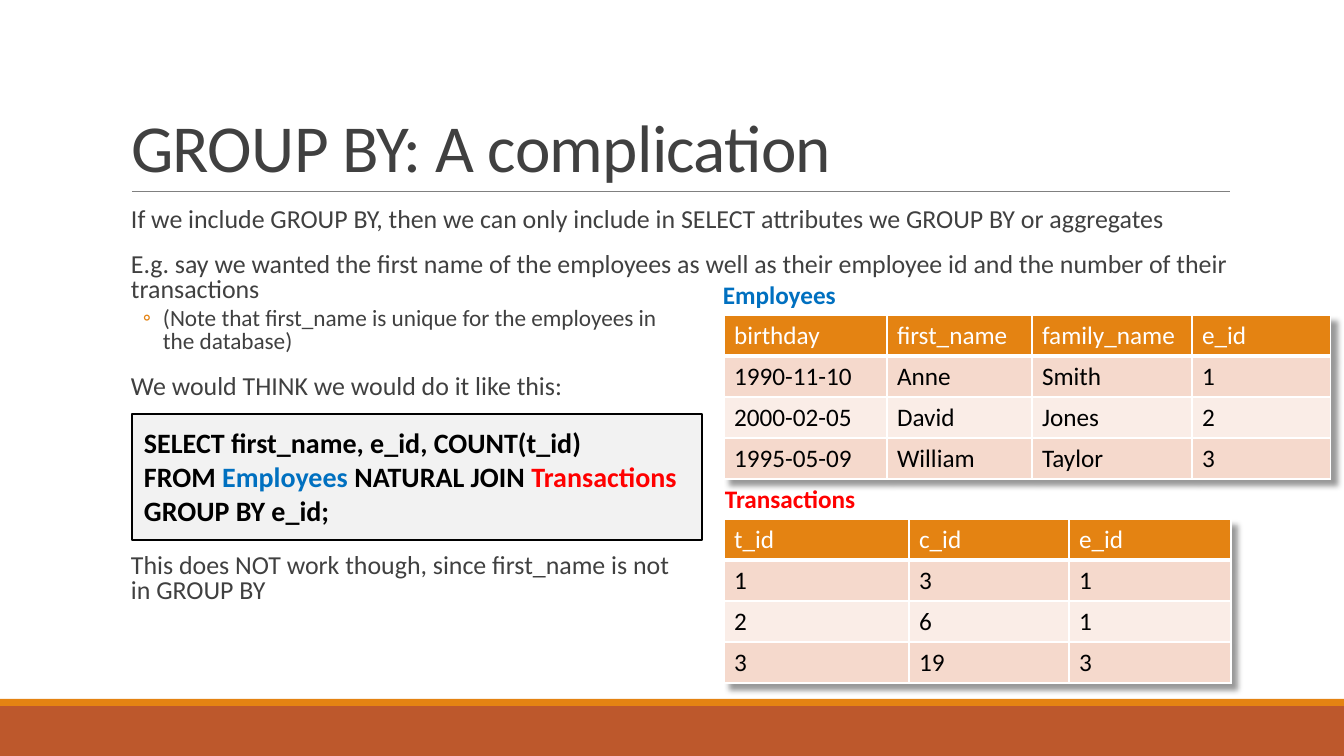
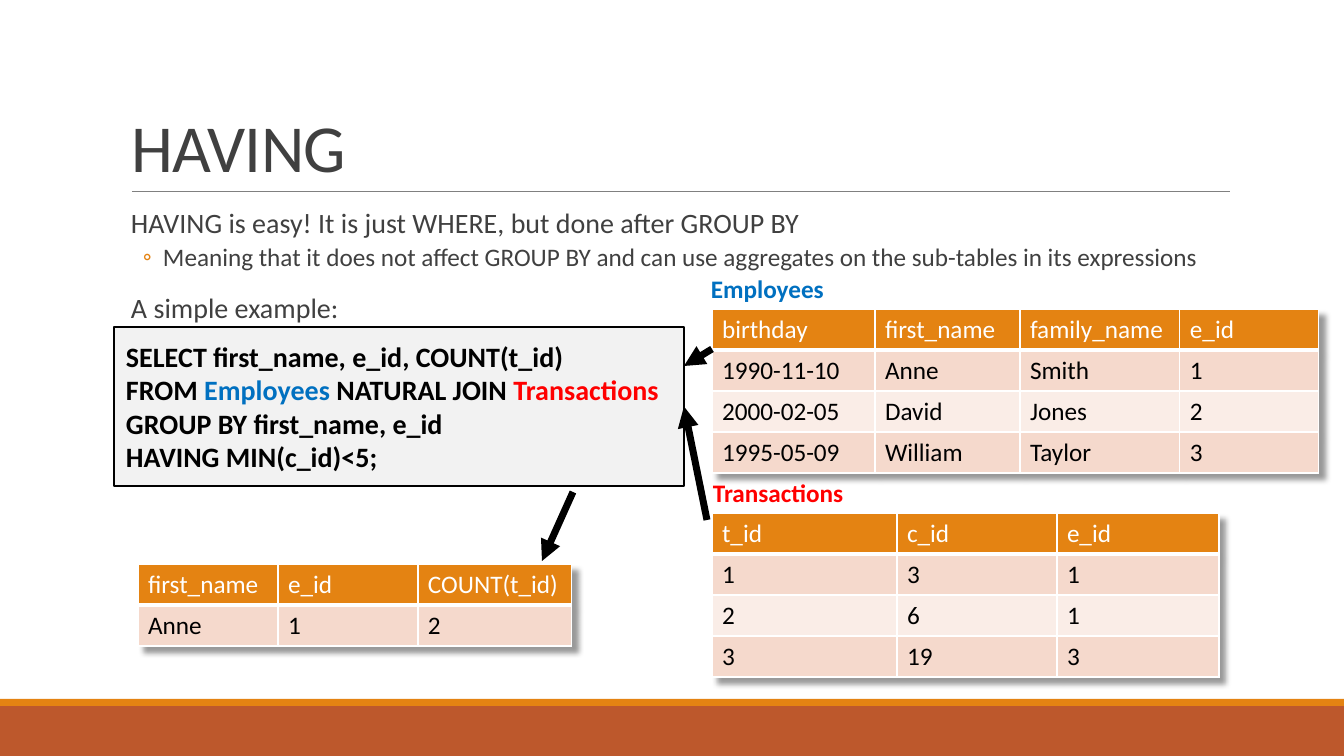
from dataclasses import dataclass

from lxml.etree import SubElement
from pptx import Presentation
from pptx.dml.color import RGBColor
from pptx.enum.shapes import MSO_CONNECTOR as Conn, MSO_SHAPE as Shape
from pptx.enum.text import MSO_ANCHOR as Anchor, MSO_AUTO_SIZE as AutoSize, PP_ALIGN as Align
from pptx.oxml import parse_xml
from pptx.oxml.ns import nsdecls, qn
from pptx.util import Emu, Pt

SLIDE_W, SLIDE_H = 1344, 756
EMU_PER_PX = 12192000 / SLIDE_W


@dataclass(frozen=True)
class Theme:
    font: str = "Calibri"
    rust: RGBColor = RGBColor(0xBD, 0x58, 0x2C)
    orange: RGBColor = RGBColor(0xE4, 0x83, 0x12)
    rule: RGBColor = RGBColor(0x80, 0x80, 0x80)
    text: RGBColor = RGBColor(0x40, 0x40, 0x40)
    black: RGBColor = RGBColor(0, 0, 0)
    white: RGBColor = RGBColor(0xFF, 0xFF, 0xFF)
    blue: RGBColor = RGBColor(0, 0x70, 0xC0)
    red: RGBColor = RGBColor(0xFF, 0, 0)
    code_fill: RGBColor = RGBColor(0xF2, 0xF2, 0xF2)
    row_dark: RGBColor = RGBColor(0xF5, 0xD9, 0xCC)
    row_light: RGBColor = RGBColor(0xFA, 0xED, 0xE7)
    title_pt: float = 48
    code_pt: float = 20
    table_pt: float = 18


THEME = Theme()


@dataclass(frozen=True)
class Span:
    text: str
    color: RGBColor = THEME.black


@dataclass(frozen=True)
class Item:
    """A body paragraph; line breaks in the text are kept."""
    text: str
    level: int = 0
    before: float = 12


@dataclass(frozen=True)
class BodyStyle:
    sizes: tuple[float, float]
    line_spacing: float


@dataclass(frozen=True)
class Grid:
    widths: tuple[int, ...]
    rows: tuple[tuple[str, ...], ...]


@dataclass(frozen=True)
class Relation:
    name: str
    color: RGBColor
    label_dx: int
    label_w: int
    grid: Grid


@dataclass(frozen=True)
class Arrow:
    start: tuple[int, int]
    end: tuple[int, int]


ROW_H = 41
RELATION_STEP = 204
LABEL_H = 40

RELATIONS = (
    Relation("Employees", THEME.blue, -11, 134, Grid((163, 145, 160, 139), (
        ("birthday", "first_name", "family_name", "e_id"),
        ("1990-11-10", "Anne", "Smith", "1"),
        ("2000-02-05", "David", "Jones", "2"),
        ("1995-05-09", "William", "Taylor", "3"),
    ))),
    Relation("Transactions", THEME.red, -9, 152, Grid((185, 160, 162), (
        ("t_id", "c_id", "e_id"),
        ("1", "3", "1"),
        ("2", "6", "1"),
        ("3", "19", "3"),
    ))),
)

RESULT = Grid((140, 140, 154), (("first_name", "e_id", "COUNT(t_id)"), ("Anne", "1", "2")))

QUERY_HEAD = (
    (Span("SELECT first_name, e_id, COUNT(t_id)"),),
    (Span("FROM "), Span("Employees", THEME.blue), Span(" NATURAL JOIN "),
     Span("Transactions", THEME.red)),
)


def px(n: int) -> Emu:
    return Emu(round(n * EMU_PER_PX))


def add_run(p, text: str, size: float, color: RGBColor, bold: bool = False):
    r = p.add_run()
    r.text = text
    r.font.name, r.font.size, r.font.bold = THEME.font, Pt(size), bold
    r.font.color.rgb = color
    return r


def add_rect(s, x: int, y: int, w: int, h: int, fill: RGBColor):
    sp = s.shapes.add_shape(Shape.RECTANGLE, px(x), px(y), px(w), px(h))
    sp.shadow.inherit = False
    sp.fill.solid()
    sp.fill.fore_color.rgb = fill
    sp.line.fill.background()
    return sp


def add_line(s, start: tuple[int, int], end: tuple[int, int], color: RGBColor, width: float):
    line = s.shapes.add_connector(Conn.STRAIGHT, *map(px, start + end))
    line.line.color.rgb = color
    line.line.width = Pt(width)
    SubElement(line.element.spPr, qn("a:effectLst"))
    return line


def add_arrow(s, arrow: Arrow):
    line = add_line(s, arrow.start, arrow.end, THEME.black, 5)
    SubElement(line.line._get_or_add_ln(), qn("a:tailEnd"), type="triangle")
    return line


def prepare_layout(prs, s) -> None:
    """Give the layout its placeholder places, bands and rule, drawn by way of slide s."""
    layout = s.slide_layout
    places = {0: (121, 31, 1109, 160), 1: (121, 204, 1109, 444)}
    for ph in list(layout.placeholders):
        idx = ph.placeholder_format.idx
        if idx in places:
            ph.left, ph.top, ph.width, ph.height = map(px, places[idx])
        else:
            ph.element.getparent().remove(ph.element)
    decor = (
        add_rect(s, 0, 706, SLIDE_W, SLIDE_H - 706, THEME.rust),
        add_rect(s, 0, 699, SLIDE_W, 7, THEME.orange),
        add_line(s, (132, 191), (1230, 191), THEME.rule, 0.5),
    )
    for shape in decor:
        layout.shapes.element.append(shape.element)


def set_title(s, text: str) -> None:
    tf = s.shapes.title.text_frame
    tf.vertical_anchor, tf.auto_size = Anchor.BOTTOM, AutoSize.NONE
    p = tf.paragraphs[0]
    p.alignment, p.line_spacing = Align.LEFT, 0.85
    r = add_run(p, text, THEME.title_pt, THEME.text)
    r.font._element.set("spc", "-50")


def set_bullet(p, level: int) -> None:
    pPr = p._p.get_or_add_pPr()
    margin, indent = ((10, 0), (42, -20))[level]
    pPr.set("marL", str(px(margin)))
    pPr.set("indent", str(px(indent)))
    if level == 0:
        SubElement(pPr, qn("a:buNone"))
        return
    SubElement(SubElement(pPr, qn("a:buClr")), qn("a:srgbClr"), val=str(THEME.orange))
    SubElement(pPr, qn("a:buFont"), typeface=THEME.font)
    SubElement(pPr, qn("a:buChar"), char="◦")


def set_body(s, items: tuple[Item, ...], style: BodyStyle) -> None:
    tf = s.placeholders[1].text_frame
    tf.auto_size, tf.vertical_anchor = AutoSize.NONE, Anchor.TOP
    tf.margin_left = tf.margin_right = 0
    tf.margin_top = tf.margin_bottom = px(5)
    for i, item in enumerate(items):
        p = tf.add_paragraph() if i else tf.paragraphs[0]
        p.level, p.line_spacing = item.level, style.line_spacing
        p.space_before = Pt(item.before if i else 0)
        p.space_after = Pt((2, 4)[item.level])
        set_bullet(p, item.level)
        for j, line in enumerate(item.text.split("\n")):
            if j:
                p.add_line_break()
            add_run(p, line, style.sizes[item.level], THEME.text)


def set_borders(cell, bottom: float) -> None:
    tcPr = cell._tc.get_or_add_tcPr()
    for i, (side, width) in enumerate(zip("LRTB", (1, 1, 1, bottom))):
        tcPr.insert(i, parse_xml(
            f'<a:ln{side} {nsdecls("a")} w="{Pt(width)}"><a:solidFill>'
            f'<a:srgbClr val="{THEME.white}"/></a:solidFill></a:ln{side}>'))


def add_grid(s, x: int, y: int, grid: Grid) -> None:
    n_rows, n_cols = len(grid.rows), len(grid.widths)
    frame = s.shapes.add_table(n_rows, n_cols, px(x), px(y),
                               px(sum(grid.widths)), px(ROW_H * n_rows))
    table = frame.table
    table._tbl.tblPr.insert(0, parse_xml(
        f'<a:effectLst {nsdecls("a")}><a:outerShdw blurRad="50800" dist="76200" dir="2700000" '
        'algn="tl" rotWithShape="0"><a:srgbClr val="000000"><a:alpha val="40000"/>'
        '</a:srgbClr></a:outerShdw></a:effectLst>'))
    for col, width in zip(table.columns, grid.widths):
        col.width = px(width)
    for i, texts in enumerate(grid.rows):
        table.rows[i].height = px(ROW_H)
        header = i == 0
        fill = THEME.orange if header else (THEME.row_light, THEME.row_dark)[i % 2]
        for j, text in enumerate(texts):
            cell = table.cell(i, j)
            cell.fill.solid()
            cell.fill.fore_color.rgb = fill
            set_borders(cell, 3 if header else 1)
            add_run(cell.text_frame.paragraphs[0], text, THEME.table_pt,
                    THEME.white if header else THEME.black)


def add_relations(s, x: int, y: int) -> None:
    """Stack the labelled source tables, the first with its corner at x, y."""
    for i, rel in enumerate(RELATIONS):
        top = y + i * RELATION_STEP
        box = s.shapes.add_textbox(px(x + rel.label_dx), px(top - ROW_H),
                                   px(rel.label_w), px(LABEL_H))
        tf = box.text_frame
        tf.word_wrap, tf.auto_size = False, AutoSize.SHAPE_TO_FIT_TEXT
        add_run(tf.paragraphs[0], rel.name, THEME.table_pt, rel.color, bold=True)
        add_grid(s, x, top, rel.grid)


def add_query(s, x: int, y: int, h: int, lines: tuple[tuple[Span, ...], ...]):
    sp = add_rect(s, x, y, 570, h, THEME.code_fill)
    sp.line.color.rgb = THEME.black
    sp.line.width = Pt(1)
    tf = sp.text_frame
    tf.word_wrap, tf.auto_size = True, AutoSize.SHAPE_TO_FIT_TEXT
    tf.vertical_anchor = Anchor.TOP
    tf.margin_left = tf.margin_right = tf.margin_top = tf.margin_bottom = px(12)
    for i, spans in enumerate(lines):
        p = tf.add_paragraph() if i else tf.paragraphs[0]
        p.alignment = Align.LEFT
        for span in spans:
            add_run(p, span.text, THEME.code_pt, span.color, bold=True)
    return sp


def build_group_by(s) -> None:
    set_title(s, "GROUP BY: A complication")
    set_body(s, (
        Item("If we include GROUP BY, then we can only include in SELECT attributes "
             "we GROUP BY or aggregates"),
        Item("E.g. say we wanted the first name of the employees as well as their employee id "
             "and the number of their transactions"),
        Item("(Note that first_name is unique for the employees in\nthe database)", 1, 2),
        Item("We would THINK we would do it like this:"),
        Item("This does NOT work though, since first_name is not\nin GROUP BY", before=108),
    ), BodyStyle((18.5, 16.6), 0.8))
    add_relations(s, 724, 315)
    add_query(s, 132, 414, 126, QUERY_HEAD + ((Span("GROUP BY e_id;"),),))


def build_having(s) -> None:
    set_title(s, "HAVING")
    set_body(s, (
        Item("HAVING is easy! It is just WHERE, but done after GROUP BY"),
        Item("Meaning that it does not affect GROUP BY and can use aggregates "
             "on the sub-tables in its expressions", 1, 2),
        Item("A simple example:"),
    ), BodyStyle((20, 18), 0.9))
    add_relations(s, 712, 309)
    query = add_query(s, 114, 327, 159, QUERY_HEAD + (
        (Span("GROUP BY first_name, e_id"),), (Span("HAVING MIN(c_id)<5;"),)))
    add_grid(s, 138, 564, RESULT)
    add_arrow(s, Arrow((707, 520), (684, 406))).end_connect(query, 3)
    add_arrow(s, Arrow((712, 349), (684, 366)))
    add_arrow(s, Arrow((573, 492), (542, 561)))


def main() -> None:
    prs = Presentation()
    prs.slide_width, prs.slide_height = px(SLIDE_W), px(SLIDE_H)
    layout = prs.slide_layouts[1]
    for i, build in enumerate((build_group_by, build_having)):
        s = prs.slides.add_slide(layout)
        if i == 0:
            prepare_layout(prs, s)
        build(s)
    prs.save("out.pptx")


if __name__ == "__main__":
    main()
